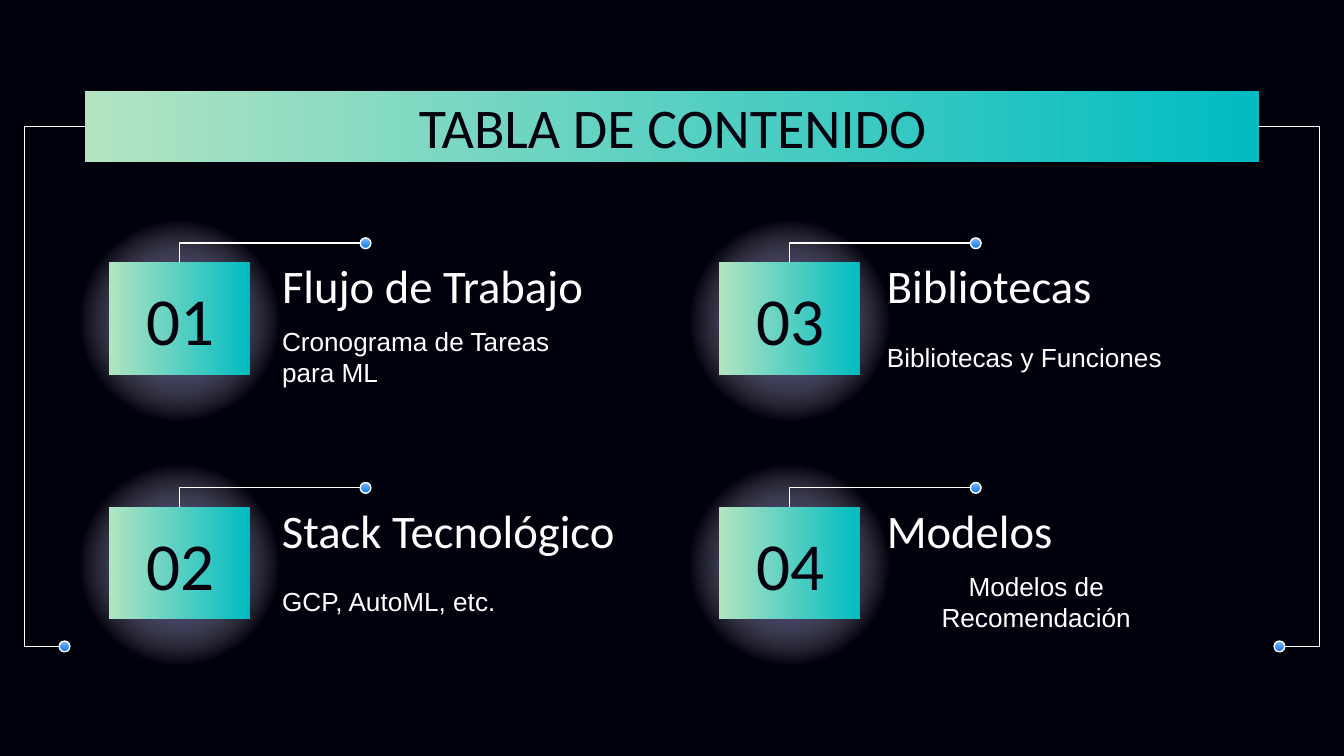
from dataclasses import dataclass

from lxml import etree
from pptx import Presentation
from pptx.dml.color import RGBColor
from pptx.enum.shapes import MSO_CONNECTOR as Connector, MSO_SHAPE as Shape
from pptx.enum.text import MSO_ANCHOR as Anchor, MSO_AUTO_SIZE as AutoSize, PP_ALIGN as Align
from pptx.oxml.ns import qn
from pptx.util import Inches, Pt


@dataclass(frozen=True)
class Theme:
    dark: str = "00000D"
    light: str = "FFFFFF"
    tile: tuple = ((0, "00BCC2", 100), (100, "B2E4C2", 100))
    dot: tuple = ((0, "82BCFE", 100), (100, "0C77F1", 100))
    glow: tuple = ((0, "170F8D", 100), (61, "FFFFFF", 0), (100, "FFFFFF", 0))
    heading_font: str = "Calibri"
    body_font: str = "Arial"
    title_size: int = 30
    heading_size: int = 25
    body_size: int = 14
    number_size: int = 36
    line_width: float = 0.75


THEME = Theme()
DOT = 0.08


@dataclass(frozen=True)
class Topic:
    number: str
    heading: str
    detail: str
    heading_width: float
    detail_align: Align = Align.LEFT


TOPICS = (
    Topic("01", "Flujo de Trabajo", "Cronograma de Tareas para ML", 3.08),
    Topic("02", "Stack Tecnológico", "GCP, AutoML, etc.", 3.34),
    Topic("03", "Bibliotecas", "Bibliotecas y Funciones", 2.69),
    Topic("04", "Modelos", "Modelos de Recomendación", 2.69, Align.CENTER),
)


def color(value):
    return RGBColor.from_string(value)


def fill_gradient(shape, stops, angle=None):
    shape.fill.gradient()
    gradient = shape._element.spPr.find(qn("a:gradFill"))
    for child in list(gradient):
        gradient.remove(child)
    stop_list = etree.SubElement(gradient, qn("a:gsLst"))
    for position, value, opacity in stops:
        stop = etree.SubElement(stop_list, qn("a:gs"), pos=str(position * 1000))
        tint = etree.SubElement(stop, qn("a:srgbClr"), val=value)
        if opacity < 100:
            etree.SubElement(tint, qn("a:alpha"), val=str(opacity * 1000))
    if angle is None:
        radial = etree.SubElement(gradient, qn("a:path"))
        radial.set("path", "circle")
        etree.SubElement(radial, qn("a:fillToRect"), dict.fromkeys("ltrb", "50000"))
    else:
        etree.SubElement(gradient, qn("a:lin"), ang=str(angle * 60000), scaled="0")


def add_filled(slide, kind, box, stops, angle=None):
    shape = slide.shapes.add_shape(kind, *map(Inches, box))
    shape.shadow.inherit = False
    shape.line.fill.background()
    fill_gradient(shape, stops, angle)
    return shape


def write_text(shape, text, *, size, font=THEME.heading_font, ink=THEME.light,
               align=Align.LEFT, anchor=Anchor.MIDDLE):
    frame = shape.text_frame
    frame.word_wrap = True
    frame.auto_size = AutoSize.NONE
    frame.vertical_anchor = anchor
    frame.margin_left = frame.margin_right = Inches(0.1)
    frame.margin_top = frame.margin_bottom = Inches(0.1)
    paragraph = frame.paragraphs[0]
    paragraph.alignment = align
    run = paragraph.add_run()
    run.text = text
    run.font.size = Pt(size)
    run.font.name = font
    run.font.color.rgb = color(ink)


def add_text(slide, box, text, **text_format):
    write_text(slide.shapes.add_textbox(*map(Inches, box)), text, **text_format)


def style_line(line):
    line.color.rgb = color(THEME.light)
    line.width = Pt(THEME.line_width)


def add_elbow(slide, start, end, preset, bend=None):
    connector = slide.shapes.add_connector(Connector.ELBOW, *map(Inches, start + end))
    style_line(connector.line)
    properties = connector._element.spPr
    etree.SubElement(properties, qn("a:effectLst"))
    geometry = properties.find(qn("a:prstGeom"))
    geometry.set("prst", preset)
    if bend is not None:
        adjustments = geometry.find(qn("a:avLst"))
        etree.SubElement(adjustments, qn("a:gd"), name="adj1", fmla=f"val {round(bend * 100000)}")


def add_dot(slide, left, middle):
    dot = add_filled(slide, Shape.OVAL, (left, middle - DOT / 2, DOT, DOT), THEME.dot, 90)
    style_line(dot.line)


def build_title(slide, box, text):
    left, top, width, height = box
    add_filled(slide, Shape.RECTANGLE, box, THEME.tile, 180)
    title = slide.shapes.title
    title.left, title.top = Inches(left + 0.16), Inches(top - 0.09)
    title.width, title.height = Inches(width - 0.31), Inches(height + 0.1)
    write_text(title, text, size=THEME.title_size, ink=THEME.dark,
               align=Align.CENTER, anchor=Anchor.TOP)
    slide.shapes._spTree.append(title._element)


def build_brackets(slide, box):
    left, top, width, height = box
    right, bottom = left + width, top + height
    reach, overhang = 0.19, 0.26
    for edge, side in ((left, 1), (right, -1)):
        start = edge - side * reach
        add_dot(slide, start if side == 1 else start - DOT, bottom)
        add_elbow(slide, (start, bottom), (edge, top), "bentConnector3", -overhang / reach)


def build_card(slide, box, text_left, topic):
    left, top, width, height = box
    add_filled(slide, Shape.OVAL, box, THEME.glow)
    tile_top = top + 0.42
    add_filled(slide, Shape.RECTANGLE, (left + 0.36, tile_top, 1.05, 0.84), THEME.tile, 180)
    add_text(slide, (left + 0.45, top + 0.55, 0.88, 0.58), topic.number,
             size=THEME.number_size, ink=THEME.dark, align=Align.CENTER)
    add_text(slide, (text_left, top + 0.3, topic.heading_width, 0.58), topic.heading,
             size=THEME.heading_size)
    add_text(slide, (text_left, top + 0.86, 2.42, 0.53), topic.detail,
             size=THEME.body_size, font=THEME.body_font, align=topic.detail_align)
    dot_left, dot_middle = left + 2.23, top + 0.28
    add_dot(slide, dot_left, dot_middle)
    add_elbow(slide, (dot_left, dot_middle), (left + width / 2, tile_top), "bentConnector2")


def main():
    presentation = Presentation()
    presentation.slide_width = Inches(10)
    presentation.slide_height = presentation.slide_width * 9 // 16
    slide = presentation.slides.add_slide(presentation.slide_layouts[5])
    slide.background.fill.solid()
    slide.background.fill.fore_color.rgb = color(THEME.dark)

    columns = ((0.45, 2.0), (4.99, 6.5))
    rows = (1.53, 3.35)
    for index, topic in enumerate(TOPICS):
        column, row = divmod(index, len(rows))
        left, text_left = columns[column]
        build_card(slide, (left, rows[row], 1.77, 1.71), text_left, topic)
    build_brackets(slide, (0.63, 0.94, 8.74, 3.87))
    build_title(slide, (0.63, 0.68, 8.74, 0.53), "TABLA DE CONTENIDO")
    presentation.save("out.pptx")


if __name__ == "__main__":
    main()
